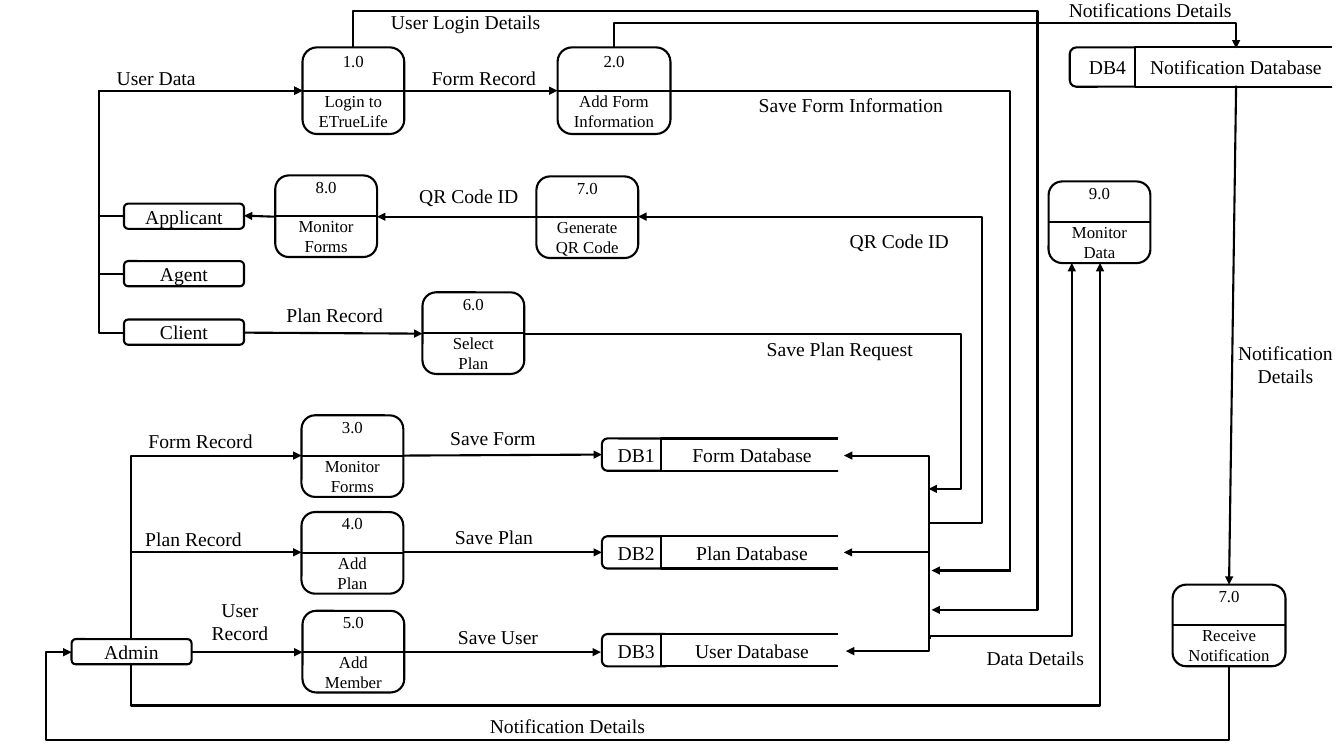
import pptx
import pptx.util
import pptx.dml.color
import pptx.enum.shapes
import pptx.enum.text
import pptx.oxml.ns

Inches = pptx.util.Inches
Pt = pptx.util.Pt
RGBColor = pptx.dml.color.RGBColor
SHAPE = pptx.enum.shapes.MSO_SHAPE
LINK = pptx.enum.shapes.MSO_CONNECTOR
qn = pptx.oxml.ns.qn

BLACK = RGBColor(0, 0, 0)
WHITE = RGBColor(255, 255, 255)
FONT = "Times New Roman"

# number, name, left, top, width, height
STEPS = [
    ("1.0", "Login to\nETrueLife", 3, 0.47, 1.01, 0.86),
    ("2.0", "Add Form\nInformation", 5.53, 0.47, 1.12, 0.86),
    ("3.0", "Monitor\nForms", 2.99, 4.12, 1.01, 0.81),
    ("4.0", "Add\nPlan", 2.99, 5.08, 1.01, 0.81),
    ("5.0", "Add\nMember", 3, 6.06, 1.01, 0.81),
    ("6.0", "Select\nPlan", 4.19, 2.9, 1.01, 0.81),
    ("7.0", "Generate\nQR Code", 5.32, 1.75, 1.01, 0.81),
    ("8.0", "Monitor\nForms", 2.73, 1.74, 1.01, 0.81),
    ("9.0", "Monitor\nData", 10.4, 1.8, 1.01, 0.81),
    ("7.0", "Receive\nNotification", 11.63, 5.8, 1.12, 0.81),
]

# name, left, top
ROLES = [
    ("Applicant", 1.23, 2.02),
    ("Agent", 1.23, 2.59),
    ("Client", 1.23, 3.17),
    ("Admin", 0.71, 6.34),
]

# code, name, left, top, code width, name offset, name width, height
STORES = [
    ("DB1", "Form Database", 5.97, 4.35, 0.68, 0.59, 1.8, 0.32),
    ("DB2", "Plan Database", 5.97, 5.32, 0.68, 0.59, 1.8, 0.32),
    ("DB3", "User Database", 5.97, 6.29, 0.68, 0.59, 1.8, 0.32),
    ("DB4", "Notification Database", 10.61, 0.47, 0.75, 0.65, 2, 0.39),
]

# heads ("" none, "t" at the end, "ht" at both ends), then the corner points
FLOWS = [
    ("t", (1.23, 3.3), (0.98, 3.3), (0.98, 0.9), (3, 0.9)),
    ("t", (1.23, 2.72), (0.98, 2.72), (0.98, 0.9), (3, 0.9)),
    ("t", (1.23, 2.14), (0.98, 2.14), (0.98, 0.9), (3, 0.9)),
    ("t", (1.3, 6.34), (1.3, 4.52), (2.99, 4.52)),
    ("t", (1.3, 6.34), (1.3, 5.48), (2.99, 5.48)),
    ("t", (1.9, 6.47), (3, 6.47)),
    ("t", (4, 4.52), (5.97, 4.51)),
    ("t", (4, 5.48), (5.97, 5.48)),
    ("t", (4.01, 6.47), (5.96, 6.47)),
    ("t", (2.42, 3.3), (4.19, 3.31)),
    ("t", (2.73, 2.15), (2.42, 2.14)),
    ("t", (5.32, 2.15), (3.74, 2.15)),
    ("t", (6.09, 0.47), (6.09, 0.22), (12.26, 0.22), (12.26, 0.48)),
    ("t", (12.26, 0.85), (12.19, 5.8)),
    ("t", (12.19, 6.61), (12.19, 7.34), (0.46, 7.34), (0.46, 6.47), (0.71, 6.47)),
    ("t", (1.3, 6.59), (1.3, 7), (10.91, 7), (10.91, 2.61)),
    ("t", (4.01, 0.9), (5.53, 0.9)),
    ("t", (3.5, 0.47), (3.5, 0.11), (10.29, 0.11), (10.29, 6.05), (9.24, 6.05)),
    ("t", (5.2, 3.31), (9.53, 3.31), (9.53, 4.85), (9.21, 4.85)),
    ("ht", (8.37, 4.52), (9.21, 4.52), (9.21, 6.46), (8.39, 6.46)),
    ("t", (9.22, 6.34), (9.22, 6.31), (10.63, 6.31), (10.63, 2.61)),
    ("", (6.65, 0.9), (10.02, 0.9), (10.02, 5.67)),
    ("t", (9.48, 5.19), (9.74, 5.19), (9.74, 2.15), (6.33, 2.15)),
    ("t", (10.02, 5.66), (9.24, 5.66)),
    ("t", (9.21, 5.48), (8.37, 5.48)),
    ("", (9.22, 5.19), (9.74, 5.19)),
]

# text, left, top, width
LABELS = [
    ("User Data", 0.25, 0.61, 2.6),
    ("Form Record", 3.5, 0.61, 2.6),
    ("Save Form Information", 7.14, 0.87, 2.6),
    ("QR Code ID", 3.35, 1.78, 2.6),
    ("QR Code ID", 7.62, 2.22, 2.6),
    ("Plan Record", 2.02, 2.96, 2.6),
    ("Save Plan Request", 7.03, 3.29, 2.6),
    ("Notifications Details", 10.11, -0.07, 2.6),
    ("User Login Details", 3.32, 0.05, 2.6),
    ("Form Record", 0.69, 4.21, 2.6),
    ("Plan Record", 0.62, 5.18, 2.6),
    ("User\nRecord", 1.08, 6, 2.6),
    ("Save User", 3.64, 6.15, 2.6),
    ("Save Plan", 3.6, 5.16, 2.6),
    ("Save Form", 3.59, 4.18, 2.6),
    ("Data Details", 8.97, 6.36, 2.6),
    ("Notification\nDetails", 12.18, 3.45, 1.14),
    ("Notification Details", 4.33, 7.03, 2.6),
]


def write(shape, text, size):
    frame = shape.text_frame
    frame.word_wrap = True
    frame.vertical_anchor = pptx.enum.text.MSO_ANCHOR.MIDDLE
    frame.text = text
    for para in frame.paragraphs:
        para.alignment = pptx.enum.text.PP_ALIGN.CENTER
        for run in para.runs:
            run.font.size = Pt(size)
            run.font.name = FONT
            run.font.color.rgb = BLACK
    return frame


def block(shapes, kind, box, line=BLACK, width=1.5):
    shape = shapes.add_shape(kind, *map(Inches, box))
    shape.shadow.inherit = False
    shape.fill.solid()
    shape.fill.fore_color.rgb = WHITE
    shape.line.color.rgb = line
    shape.line.width = Pt(width)
    return shape


def bend(link, points):
    """Shape an elbow connector so that it runs through all the points."""
    (x0, y0), turn, *_ = points
    dx, dy = points[-1][0] - x0, points[-1][1] - y0
    upright = turn[0] == x0
    frame = link._element.spPr.find(qn("a:xfrm"))
    if upright:
        wide, high = abs(dy), abs(dx)
        frame.set("rot", "5400000")
        flips = dy < 0, dx > 0
    else:
        wide, high = abs(dx), abs(dy)
        flips = dx < 0, dy < 0
    for name, flip in zip(("flipH", "flipV"), flips):
        frame.set(name, str(int(flip)))
    link.left = Inches(x0 + dx / 2 - wide / 2)
    link.top = Inches(y0 + dy / 2 - high / 2)
    link.width, link.height = Inches(wide), Inches(high)

    geom = link._element.spPr.find(qn("a:prstGeom"))
    geom.set("prst", f"bentConnector{len(points) - 1}")
    guides = geom.find(qn("a:avLst"))
    for i, corner in enumerate(points[1:-2]):
        axis = (i + upright) % 2
        share = (corner[axis] - points[0][axis]) / (dx, dy)[axis]
        guides.append(guides.makeelement(qn("a:gd"), {
            "name": f"adj{i + 1}", "fmla": f"val {round(share * 100000)}"}))


def flow(shapes, heads, *points):
    kind = LINK.STRAIGHT if len(points) == 2 else LINK.ELBOW
    link = shapes.add_connector(kind, *map(Inches, points[0] + points[-1]))
    if len(points) > 2:
        bend(link, points)
    link.line.color.rgb = BLACK
    link.line.width = Pt(1.5)
    line = link.line._get_or_add_ln()
    for key, tag in (("h", "a:headEnd"), ("t", "a:tailEnd")):
        if key in heads:
            line.append(line.makeelement(qn(tag), {"type": "triangle"}))
    props = link._element.spPr
    props.append(props.makeelement(qn("a:effectLst"), {}))


def step(shapes, number, name, left, top, wide, high):
    shape = block(shapes, SHAPE.ROUNDED_RECTANGLE, (left, top, wide, high))
    frame = write(shape, number + "\n" + name, 12)
    frame.margin_left = frame.margin_right = Inches(0.03)
    frame.paragraphs[1].space_before = Pt(13.8)
    mid = top + high / 2
    flow(shapes, "", (left, mid), (left + wide, mid))


def store(shapes, code, name, left, top, wide, shift, span, high):
    group = shapes.add_group_shape().shapes
    write(block(group, SHAPE.ROUNDED_RECTANGLE, (left, top, wide, high)), code, 14)
    start = left + shift
    write(block(group, SHAPE.RECTANGLE, (start, top, span, high)), name, 14)
    block(group, SHAPE.RECTANGLE, (start + span - 0.04, top - 0.01, 0.05, high + 0.02), WHITE, 1)


def label(shapes, text, left, top, wide):
    box = shapes.add_textbox(*map(Inches, (left, top, wide, 0.33)))
    frame = write(box, text, 14)
    frame.margin_left = frame.margin_right = 0


def main():
    deck = pptx.Presentation()
    deck.slide_width, deck.slide_height = Inches(13.33), Inches(7.5)
    shapes = deck.slides.add_slide(deck.slide_layouts[6]).shapes
    for item in STEPS:
        step(shapes, *item)
    for name, left, top in ROLES:
        write(block(shapes, SHAPE.ROUNDED_RECTANGLE, (left, top, 1.19, 0.25)), name, 14)
    for item in STORES:
        store(shapes, *item)
    for item in FLOWS:
        flow(shapes, *item)
    for item in LABELS:
        label(shapes, *item)
    deck.save("out.pptx")


if __name__ == "__main__":
    main()
